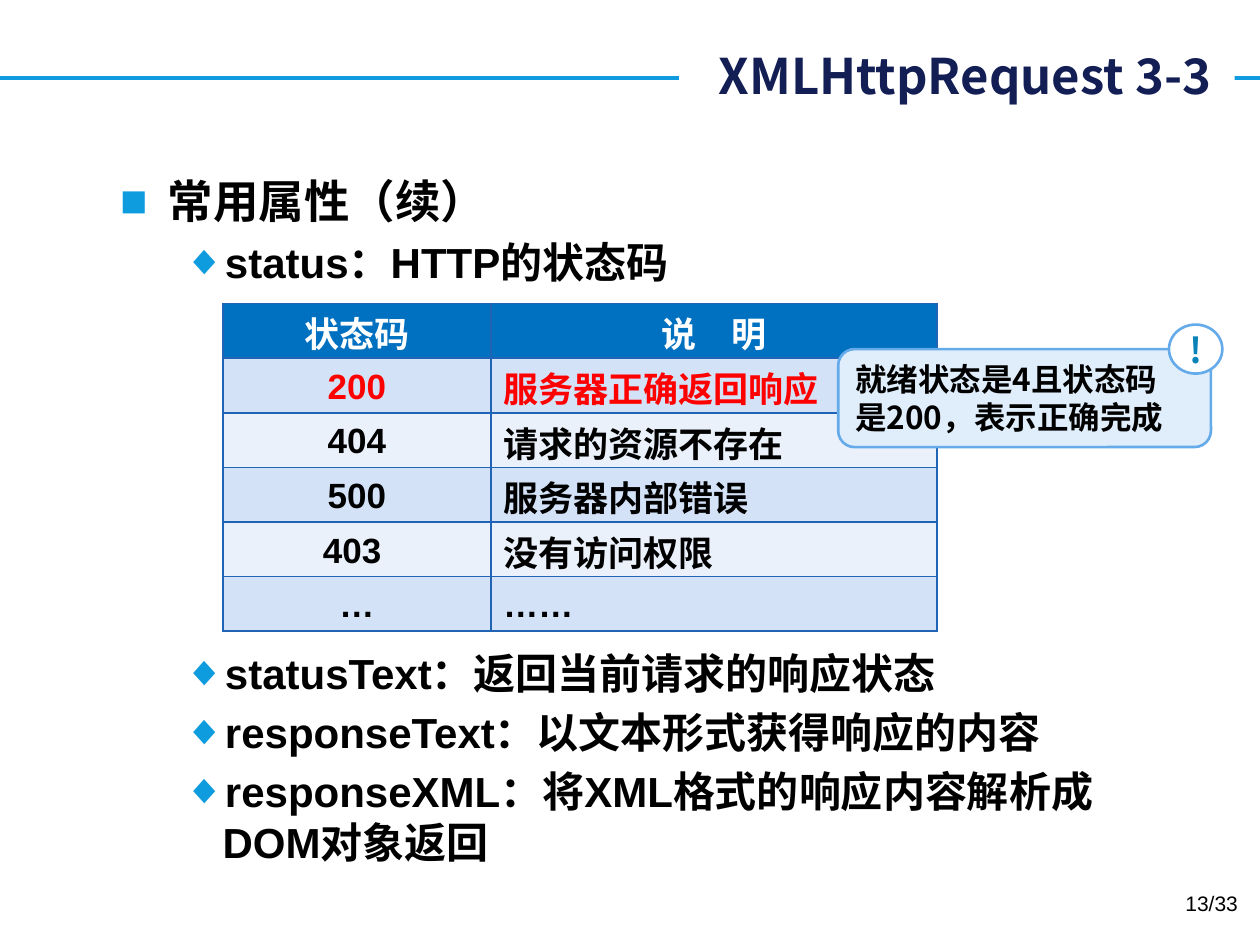
from dataclasses import dataclass

from lxml import etree
from pptx import Presentation
from pptx.dml.color import RGBColor
from pptx.enum.shapes import MSO_CONNECTOR, MSO_SHAPE
from pptx.enum.text import MSO_ANCHOR, MSO_AUTO_SIZE, PP_ALIGN
from pptx.oxml.ns import qn
from pptx.util import Pt

LEFT, CENTER, RIGHT = PP_ALIGN.LEFT, PP_ALIGN.CENTER, PP_ALIGN.RIGHT
TOP, MIDDLE = MSO_ANCHOR.TOP, MSO_ANCHOR.MIDDLE


@dataclass(frozen=True)
class Theme:
    latin: str = "Arial"
    chinese: str = "Noto Sans CJK SC"
    accent: str = "0E9CDE"
    navy: str = "121E54"
    black: str = "000000"
    white: str = "FFFFFF"
    red: str = "FF0000"
    header: str = "0070C0"
    bands: tuple = ("D3E2F7", "EAF1FB")
    border: str = "2163B4"
    callout: str = "E0EEFB"
    callout_line: str = "65AAE9"
    mark: str = "0C83B8"
    title_size: int = 28
    heading_size: int = 26
    item_size: int = 24
    table_size: int = 20
    callout_size: int = 18
    page_size: int = 12


THEME = Theme()

HEADING = "常用属性（续）"
# Text and space before; the second item leaves room for the table
ITEMS = [
    ("status：HTTP的状态码", 5),
    ("statusText：返回当前请求的响应状态", 206),
    ("responseText：以文本形式获得响应的内容", 5),
    ("responseXML：将XML格式的响应内容解析成 DOM对象返回", 5),
]
STATUS_ROWS = [
    ("状态码", "说　明"),
    ("200", "服务器正确返回响应"),
    ("404", "请求的资源不存在"),
    ("500", "服务器内部错误"),
    ("403 ", "没有访问权限"),
    ("…", "……"),
]


def color(value):
    return RGBColor.from_string(value)


def add_run(paragraph, text, size, ink, font=THEME.chinese, bold=True):
    run = paragraph.add_run()
    run.text = text
    run.font.size = Pt(size)
    run.font.bold = bold
    run.font.color.rgb = color(ink)
    run.font.name = font
    properties = run.font._element
    etree.SubElement(properties, qn("a:ea"), typeface=THEME.chinese)


def place(shape, box):
    shape.left, shape.top, shape.width, shape.height = (Pt(value) for value in box)


def set_frame(frame, anchor=TOP, insets=(7.2, 3.6)):
    frame.word_wrap = True
    frame.auto_size = MSO_AUTO_SIZE.NONE
    frame.vertical_anchor = anchor
    frame.margin_left = frame.margin_right = Pt(insets[0])
    frame.margin_top = frame.margin_bottom = Pt(insets[1])


def set_bullet(paragraph, character, indent, hanging):
    properties = paragraph._p.get_or_add_pPr()
    properties.set("marL", str(Pt(indent)))
    properties.set("indent", str(-Pt(hanging)))
    bullet_color = etree.SubElement(properties, qn("a:buClr"))
    etree.SubElement(bullet_color, qn("a:srgbClr"), val=THEME.accent)
    etree.SubElement(properties, qn("a:buFont"), typeface=THEME.latin)
    etree.SubElement(properties, qn("a:buChar"), char=character)


def set_borders(cell):
    properties = cell._tc.get_or_add_tcPr()
    for side in ("lnL", "lnR", "lnT", "lnB"):
        line = etree.SubElement(properties, qn(f"a:{side}"), w=str(Pt(1)))
        fill = etree.SubElement(line, qn("a:solidFill"))
        etree.SubElement(fill, qn("a:srgbClr"), val=THEME.border)


def add_title(slide, box):
    title = slide.shapes.title
    place(title, box)
    title.fill.solid()
    title.fill.fore_color.rgb = color(THEME.white)
    set_frame(title.text_frame, MIDDLE)
    paragraph = title.text_frame.paragraphs[0]
    paragraph.alignment = RIGHT
    add_run(paragraph, "XMLHttpRequest 3-3 ", THEME.title_size, THEME.navy)


def add_rule(slide, left, top, width):
    rule = slide.shapes.add_connector(
        MSO_CONNECTOR.STRAIGHT, Pt(left), Pt(top), Pt(left + width), Pt(top))
    rule.line.color.rgb = color(THEME.accent)
    rule.line.width = Pt(2.25)
    etree.SubElement(rule.element.spPr, qn("a:effectLst"))
    # The rule runs behind the white title box
    slide.shapes.title.element.addprevious(rule.element)


def add_body(slide, box):
    body = slide.placeholders[1]
    place(body, box)
    frame = body.text_frame
    set_frame(frame)
    heading = frame.paragraphs[0]
    heading.space_before = Pt(5)
    set_bullet(heading, "■", 27, 27)
    add_run(heading, HEADING, THEME.heading_size, THEME.black, THEME.latin)
    for text, space_before in ITEMS:
        paragraph = frame.add_paragraph()
        paragraph.level = 1
        paragraph.space_before = Pt(space_before)
        set_bullet(paragraph, "◆", 58.5, 22.5)
        add_run(paragraph, text, THEME.item_size, THEME.black, THEME.latin)


def add_status_table(slide, box, code_width):
    left, top, width, height = box
    table = slide.shapes.add_table(
        len(STATUS_ROWS), 2, Pt(left), Pt(top), Pt(width), Pt(height)).table
    table.columns[0].width = Pt(code_width)
    table.columns[1].width = Pt(width - code_width)
    for row_index, texts in enumerate(STATUS_ROWS):
        table.rows[row_index].height = Pt(height / len(STATUS_ROWS))
        is_header = row_index == 0
        band = THEME.header if is_header else THEME.bands[(row_index - 1) % 2]
        ink = {0: THEME.white, 1: THEME.red}.get(row_index, THEME.black)
        font = THEME.chinese if is_header else THEME.latin
        for column_index, text in enumerate(texts):
            cell = table.cell(row_index, column_index)
            set_borders(cell)
            cell.fill.solid()
            cell.fill.fore_color.rgb = color(band)
            cell.vertical_anchor = MIDDLE
            # Tight insets keep the tall Chinese lines within the row height
            cell.margin_top, cell.margin_bottom = Pt(2), Pt(0)
            paragraph = cell.text_frame.paragraphs[0]
            paragraph.alignment = CENTER if is_header or column_index == 0 else LEFT
            add_run(paragraph, text, THEME.table_size, ink, font)


def add_callout(slide, box):
    left, top, width, height = box
    group = slide.shapes.add_group_shape()

    def add_part(kind, part_box, fill, lines, size, ink, alignment, insets):
        part = group.shapes.add_shape(kind, *(Pt(value) for value in part_box))
        part.shadow.inherit = False
        part.fill.solid()
        part.fill.fore_color.rgb = color(fill)
        part.line.color.rgb = color(THEME.callout_line)
        part.line.width = Pt(1.5)
        frame = part.text_frame
        set_frame(frame, MIDDLE, insets)
        for index, text in enumerate(lines):
            paragraph = frame.add_paragraph() if index else frame.paragraphs[0]
            paragraph.alignment = alignment
            add_run(paragraph, text, size, ink)

    # Note, then the badge on its top right corner
    add_part(MSO_SHAPE.ROUNDED_RECTANGLE, box, THEME.callout,
             ("就绪状态是4且状态码", "是200，表示正确完成"),
             THEME.callout_size, THEME.black, LEFT, (7.2, 0))
    add_part(MSO_SHAPE.OVAL, (left + width - 24, top - 14, 30.5, 28), THEME.white,
             ("!",), THEME.table_size, THEME.mark, CENTER, (0, 0))


def add_page_number(slide, box):
    text_box = slide.shapes.add_textbox(*(Pt(value) for value in box))
    set_frame(text_box.text_frame)
    paragraph = text_box.text_frame.paragraphs[0]
    paragraph.alignment = RIGHT
    add_run(paragraph, "13/33", THEME.page_size, THEME.black, THEME.latin, bold=False)


def main():
    presentation = Presentation()
    presentation.slide_width, presentation.slide_height = Pt(720), Pt(540)
    slide = presentation.slides.add_slide(presentation.slide_layouts[1])
    add_title(slide, (388, 22.5, 317.5, 41))
    add_rule(slide, 0, 44.5, 720)
    add_body(slide, (61.5, 95.5, 602, 405))
    add_status_table(slide, (127.5, 173.5, 408, 187.2), 153)
    add_callout(slide, (479, 199.5, 213, 56))
    add_page_number(slide, (546.5, 505.5, 168, 29))
    presentation.save("out.pptx")


if __name__ == "__main__":
    main()
